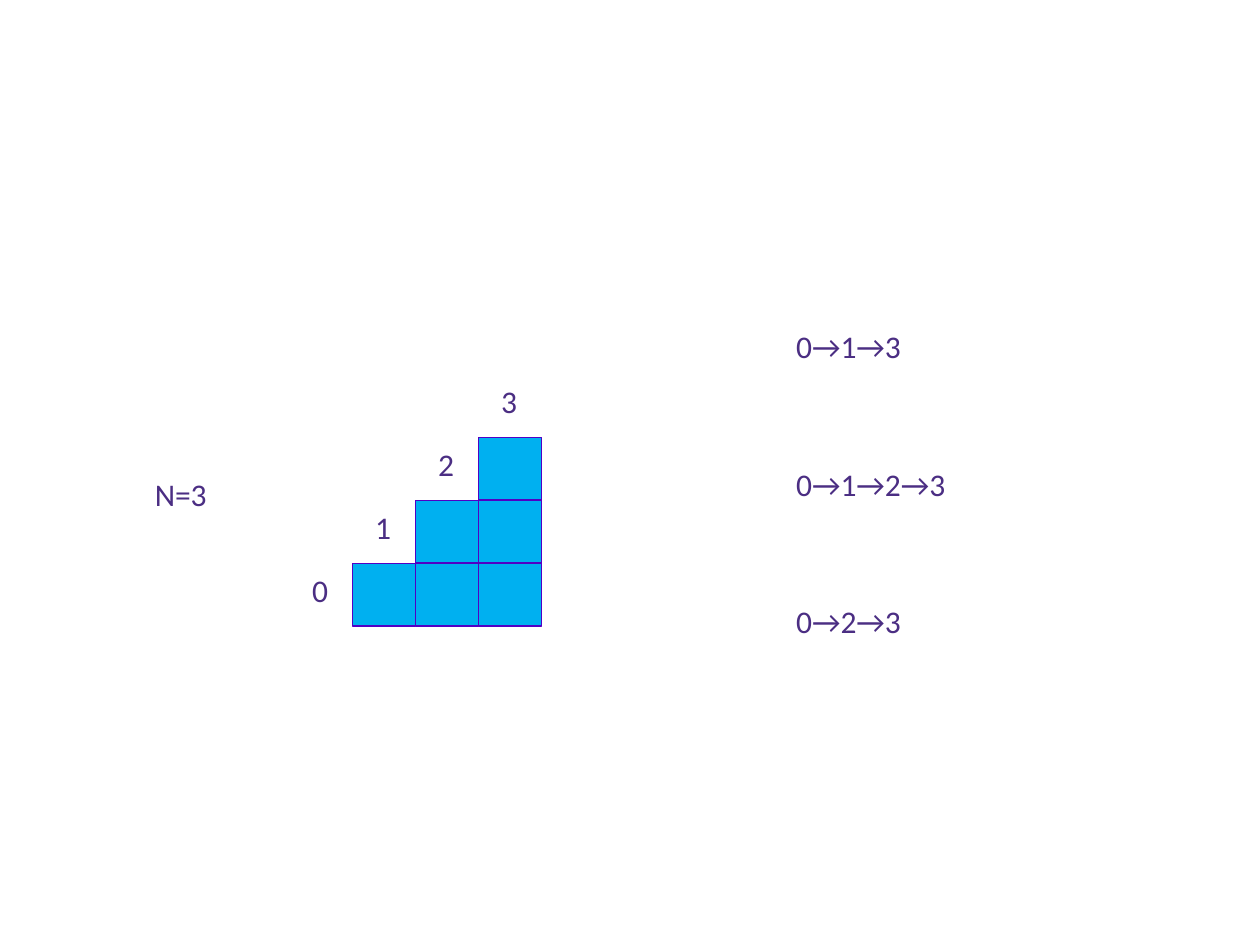
from pptx import Presentation
from pptx.dml.color import RGBColor
from pptx.enum import shapes, text
from pptx.util import Inches, Pt

PURPLE = "4B2E83"
OUTLINE = "5100C4"
BLUE = "00B0F0"
LABEL_HEIGHT = 0.57


def color(value):
    return RGBColor.from_string(value)


def add_label(page, wording, left, top, width):
    box = page.shapes.add_textbox(
        Inches(left), Inches(top), Inches(width), Inches(LABEL_HEIGHT))
    frame = box.text_frame
    frame.text = wording
    frame.word_wrap = False
    frame.auto_size = text.MSO_AUTO_SIZE.SHAPE_TO_FIT_TEXT
    span = frame.paragraphs[0].runs[0]
    span.font.name = "Calibri"
    span.font.size = Pt(18)
    span.font.color.rgb = color(PURPLE)


def add_block(page, left, top, side):
    block = page.shapes.add_shape(
        shapes.MSO_SHAPE.RECTANGLE,
        Inches(left), Inches(top), Inches(side), Inches(side))
    block.shadow.inherit = False
    block.fill.solid()
    block.fill.fore_color.rgb = color(BLUE)
    block.line.color.rgb = color(OUTLINE)
    block.line.width = Pt(0.75)


def add_staircase(page, left, bottom, side, steps):
    for column in range(steps):
        for level in range(column + 1):
            add_block(page, left + column * side,
                      bottom - (level + 1) * side, side)
    for step in range(steps + 1):
        add_label(page, str(step), left - 0.42 + step * side,
                  bottom - 0.49 - step * side, 0.4)


def add_paths(page, left, top, pitch, paths):
    for row, (wording, width) in enumerate(paths):
        add_label(page, wording, left, top + row * pitch, width)


def main():
    deck = Presentation()
    deck.slide_width = Inches(10)
    deck.slide_height = Inches(7.5)
    page = deck.slides.add_slide(deck.slide_layouts[6])
    add_label(page, "N=3", 1.13, 3.72, 0.92)
    add_staircase(page, 2.8, 4.97, 0.5, 3)
    add_paths(page, 6.22, 2.55, 1.09,
              [("0→1→3", 1.56), ("0→1→2→3", 2.14), ("0→2→3", 1.56)])
    deck.save("out.pptx")


if __name__ == "__main__":
    main()
